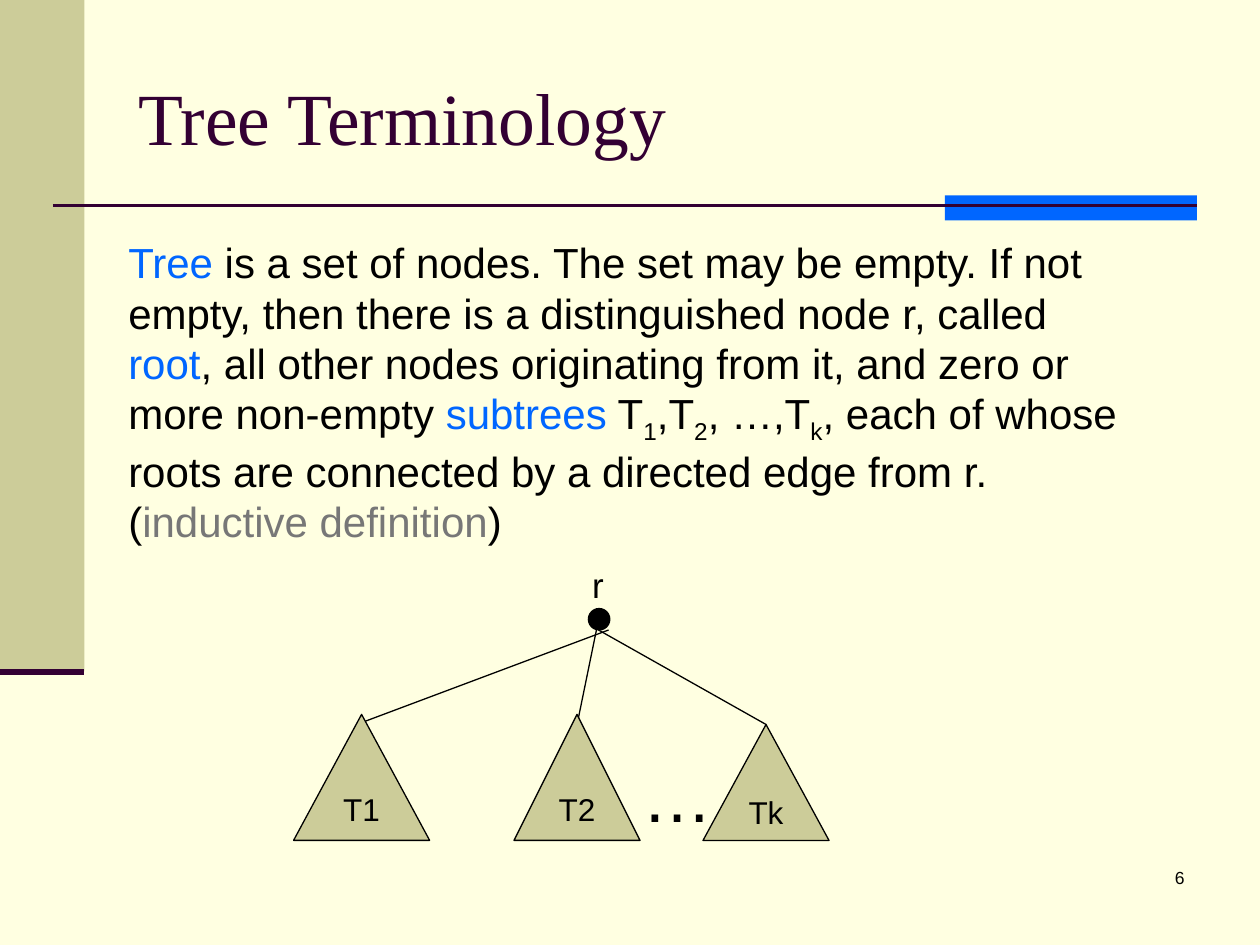
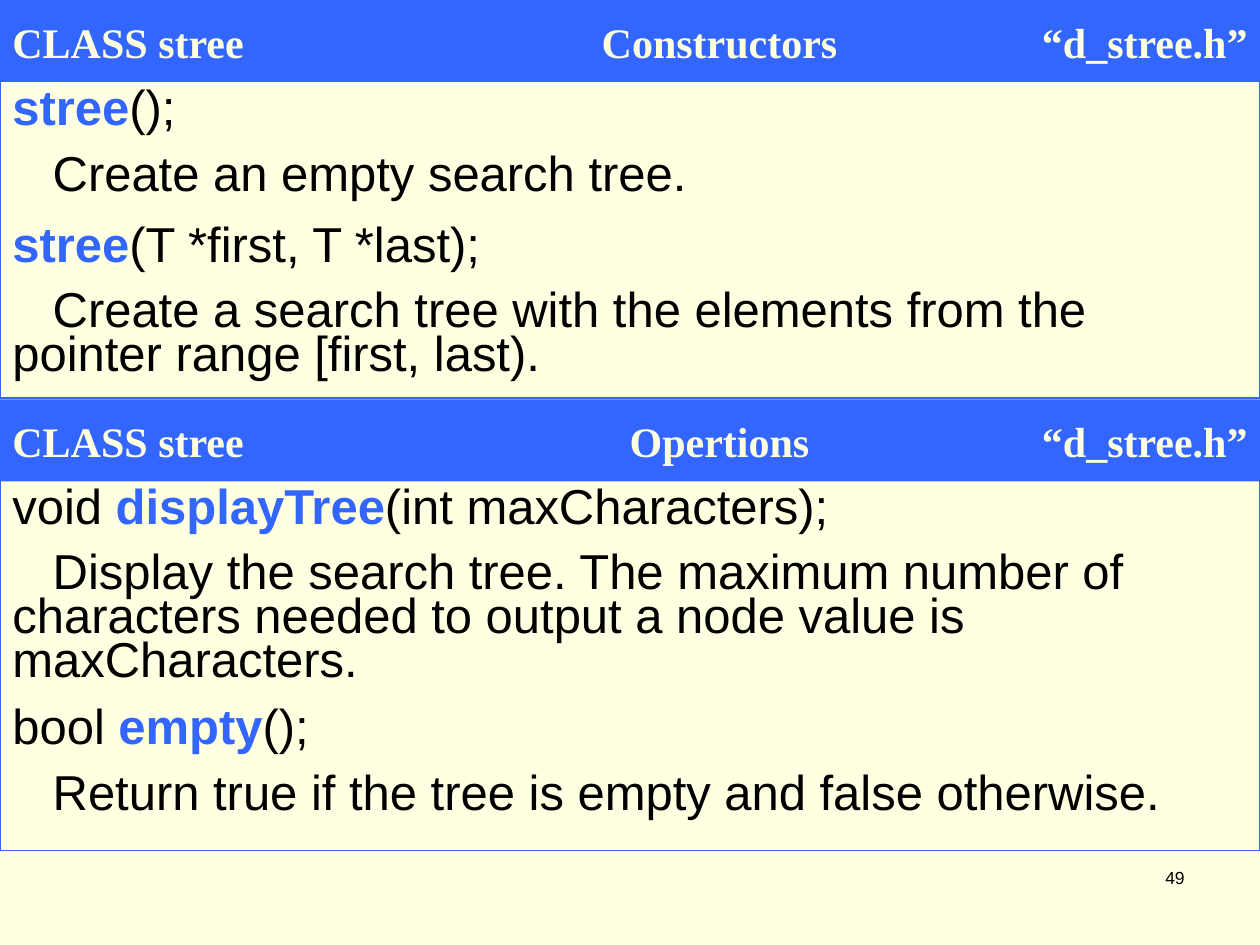
from dataclasses import dataclass

from lxml.etree import SubElement
from pptx import Presentation
from pptx.dml.color import RGBColor
from pptx.enum.shapes import MSO_CONNECTOR, MSO_SHAPE
from pptx.enum.text import MSO_ANCHOR, PP_ALIGN
from pptx.oxml.ns import qn
from pptx.util import Inches, Pt

# Shared look
CREAM, KHAKI, PLUM = "FFFFE1", "CCCC99", "330033"
BLUE, PANEL_BLUE, GREY, BLACK = "0066FF", "3366FF", "777777", "000000"
SANS, SERIF = "Arial", "Times New Roman"
BAND_HEIGHT = 0.65
CODE_INDENT = 0.32


@dataclass
class Part:
    """A stretch of text with its own look."""
    text: str
    color: str = BLACK
    bold: bool = False
    subscript: bool = False


@dataclass
class Subtree:
    label: str
    left: float
    top: float
    width: float
    height: float
    edge_start: tuple[float, float]
    edge_end: tuple[float, float]


@dataclass
class Method:
    top: float
    height: float
    signature: list[Part]
    description: str


@dataclass
class Panel:
    top: float
    bottom: float
    heading: str
    methods: list[Method]


def rgb(color: str) -> RGBColor:
    return RGBColor.from_string(color)


def add_parts(p, parts: list[Part], size: float, font: str = SANS) -> None:
    for part in parts:
        r = p.add_run()
        r.text = part.text
        r.font.name, r.font.size, r.font.bold = font, Pt(size), part.bold
        r.font.color.rgb = rgb(part.color)
        if part.subscript:
            r.font._element.set("baseline", "-25000")


def add_text(s, at: tuple, parts: list[Part], size: float, font: str = SANS,
             align=PP_ALIGN.LEFT):
    tf = s.shapes.add_textbox(*map(Inches, at)).text_frame
    tf.word_wrap = True
    tf.paragraphs[0].alignment = align
    add_parts(tf.paragraphs[0], parts, size, font)
    return tf


def add_shape(s, kind, at: tuple, fill: str, line: str | None = None):
    sp = s.shapes.add_shape(kind, *map(Inches, at))
    sp.shadow.inherit = False
    sp.fill.solid()
    sp.fill.fore_color.rgb = rgb(fill)
    if line:
        sp.line.color.rgb = rgb(line)
        sp.line.width = Pt(0.75)
    else:
        sp.line.fill.background()
    return sp


def add_line(s, start: tuple, end: tuple, color: str, width: float) -> None:
    c = s.shapes.add_connector(MSO_CONNECTOR.STRAIGHT, *map(Inches, start + end))
    c.line.color.rgb = rgb(color)
    c.line.width = Pt(width)
    SubElement(c._element.spPr, qn("a:effectLst"))


def add_slide_number(s, number: int) -> None:
    add_text(s, (7.42, 6.83, 2.08, 0.5), [Part(str(number))], 10, align=PP_ALIGN.RIGHT)


def add_title(s, title: str) -> None:
    # Side bar, accent and rule around the title
    add_shape(s, MSO_SHAPE.RECTANGLE, (0, 0, 0.67, 5.33), KHAKI)
    add_shape(s, MSO_SHAPE.RECTANGLE, (7.5, 1.55, 2, 0.2), BLUE)
    add_line(s, (0.42, 1.63), (9.5, 1.63), PLUM, 1.5)
    add_line(s, (0, 5.33), (0.67, 5.33), PLUM, 3.5)
    sp = s.shapes.title
    sp.left, sp.top, sp.width, sp.height = map(Inches, (1, 0.3, 8.5, 1.25))
    tf = sp.text_frame
    tf.vertical_anchor = MSO_ANCHOR.MIDDLE
    tf.paragraphs[0].alignment = PP_ALIGN.LEFT
    add_parts(tf.paragraphs[0], [Part(title, PLUM)], 42, SERIF)


def add_subtree(s, tree: Subtree) -> None:
    add_line(s, tree.edge_start, tree.edge_end, BLACK, 0.75)
    sp = add_shape(s, MSO_SHAPE.FLOWCHART_EXTRACT,
                   (tree.left, tree.top, tree.width, tree.height), KHAKI, BLACK)
    tf = sp.text_frame
    tf.word_wrap = False
    tf.vertical_anchor = MSO_ANCHOR.MIDDLE
    tf.paragraphs[0].alignment = PP_ALIGN.CENTER
    add_parts(tf.paragraphs[0], [Part(tree.label)], 18)


def add_method(s, method: Method) -> None:
    tf = add_text(s, (0, method.top, 9.9, method.height), method.signature, 28)
    p = tf.add_paragraph()
    p._p.get_or_add_pPr().set("indent", str(Inches(CODE_INDENT)))
    p.space_before = Pt(12.2)
    add_parts(p, [Part(method.description)], 28)
    for p in tf.paragraphs:
        p.line_spacing = 0.75


def add_panel(s, panel: Panel) -> None:
    body_top = panel.top + 0.58
    add_shape(s, MSO_SHAPE.RECTANGLE, (0, body_top, 10, panel.bottom - body_top),
              CREAM, PANEL_BLUE)
    add_shape(s, MSO_SHAPE.RECTANGLE, (0, panel.top, 10, BAND_HEIGHT), PANEL_BLUE)
    for text, left, width, align in (
            ("CLASS stree", 0, 7.71, PP_ALIGN.LEFT),
            (panel.heading, 1.52, 8.38, PP_ALIGN.CENTER),
            ("“d_stree.h”", 6.08, 3.92, PP_ALIGN.RIGHT)):
        add_text(s, (left, panel.top + 0.08, width, 0.5),
                 [Part(text, CREAM, bold=True)], 24, SERIF, align)
    for method in panel.methods:
        add_method(s, method)


DEFINITION = [
    Part("Tree", BLUE),
    Part(" is a set of nodes. The set may be empty. If not empty, then there is "
         "a distinguished node r, called"),
    Part(" root", BLUE),
    Part(", all other nodes originating from it, and zero or more non-empty "),
    Part("subtrees", BLUE),
    Part(" T"), Part("1", subscript=True),
    Part(",T"), Part("2", subscript=True),
    Part(", …,T"), Part("k", subscript=True),
    Part(", each of whose roots are connected by a directed edge from r. ("),
    Part("inductive definition", GREY),
    Part(")"),
]

SUBTREES = [
    Subtree("T1", 2.33, 5.67, 1.08, 1, (4.83, 5), (2.83, 5.75)),
    Subtree("T2", 4.08, 5.67, 1, 1, (4.75, 4.92), (4.58, 5.75)),
    Subtree("Tk", 5.58, 5.75, 1, 0.92, (4.75, 5), (6.08, 5.75)),
]

PANELS = [
    Panel(0, 3.16, "Constructors", [
        Method(0.67, 0.97, [Part("stree", PANEL_BLUE, True), Part("();")],
               "Create an empty search tree."),
        Method(1.75, 1.32,
               [Part("stree", PANEL_BLUE, True), Part("(T *first, T *last);")],
               "Create a search tree with the elements from the "
               "pointer range [first, last)."),
    ]),
    Panel(3.17, 6.75, "Opertions", [
        Method(3.83, 1.67,
               [Part("void "), Part("displayTree", PANEL_BLUE, True),
                Part("(int maxCharacters);")],
               "Display the search tree. The maximum number of characters needed "
               "to output a node value is maxCharacters."),
        Method(5.58, 0.97,
               [Part("bool "), Part("empty", PANEL_BLUE, True), Part("();")],
               "Return true if the tree is empty and false otherwise."),
    ]),
]


def build_terminology(prs) -> None:
    s = prs.slides.add_slide(prs.slide_layouts[5])
    add_title(s, "Tree Terminology")
    add_slide_number(s, 6)
    add_text(s, (0.92, 1.83, 8.17, 2.56), DEFINITION, 24)
    # Root node with its subtrees
    add_shape(s, MSO_SHAPE.OVAL, (4.67, 4.83, 0.17, 0.17), BLACK, BLACK)
    for tree in SUBTREES:
        add_subtree(s, tree)
    add_text(s, (5, 5.92, 0.75, 0.77), [Part("…")], 40)
    add_text(s, (4.33, 4.42, 0.83, 0.44), [Part("r")], 20, align=PP_ALIGN.CENTER)


def build_class_reference(prs) -> None:
    s = prs.slides.add_slide(prs.slide_layouts[6])
    add_slide_number(s, 49)
    for panel in PANELS:
        add_panel(s, panel)


def main() -> None:
    prs = Presentation()
    prs.slide_width, prs.slide_height = Inches(10), Inches(7.5)
    fill = prs.slide_master.background.fill
    fill.solid()
    fill.fore_color.rgb = rgb(CREAM)
    build_terminology(prs)
    build_class_reference(prs)
    prs.save("out.pptx")


if __name__ == "__main__":
    main()
